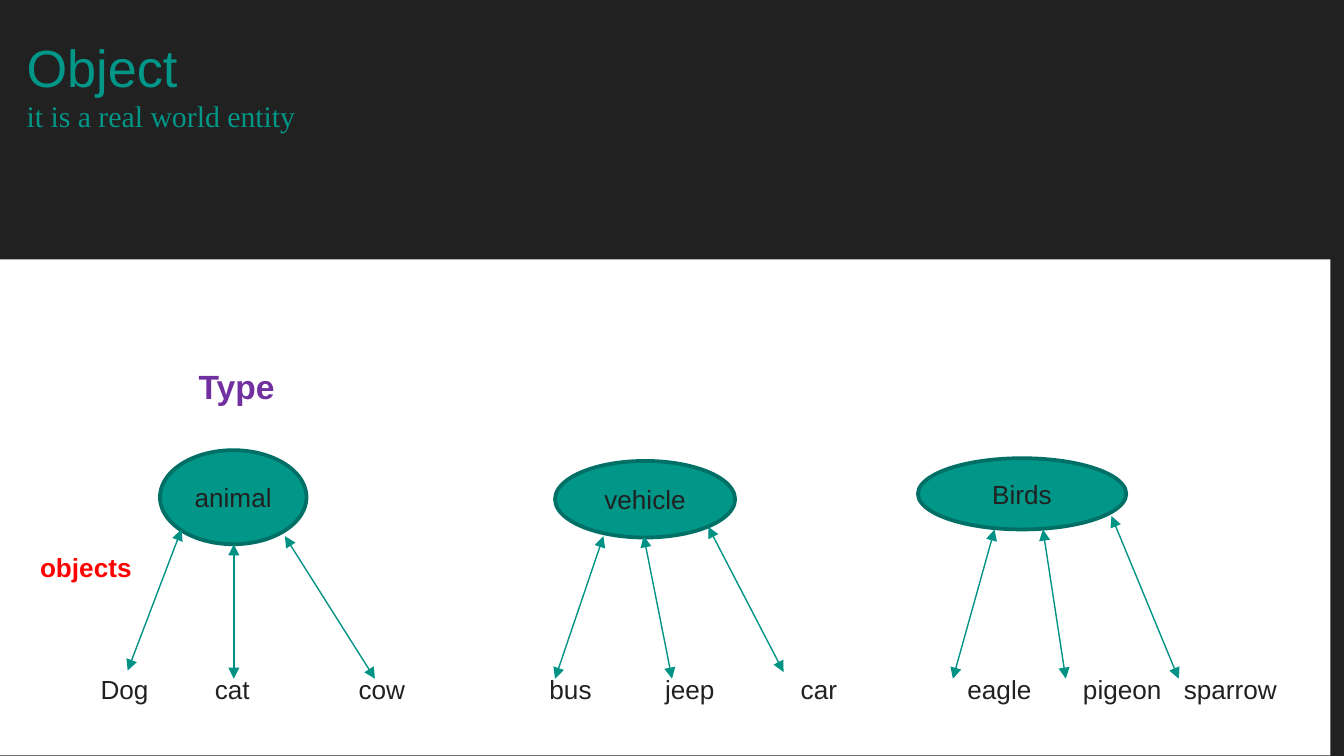
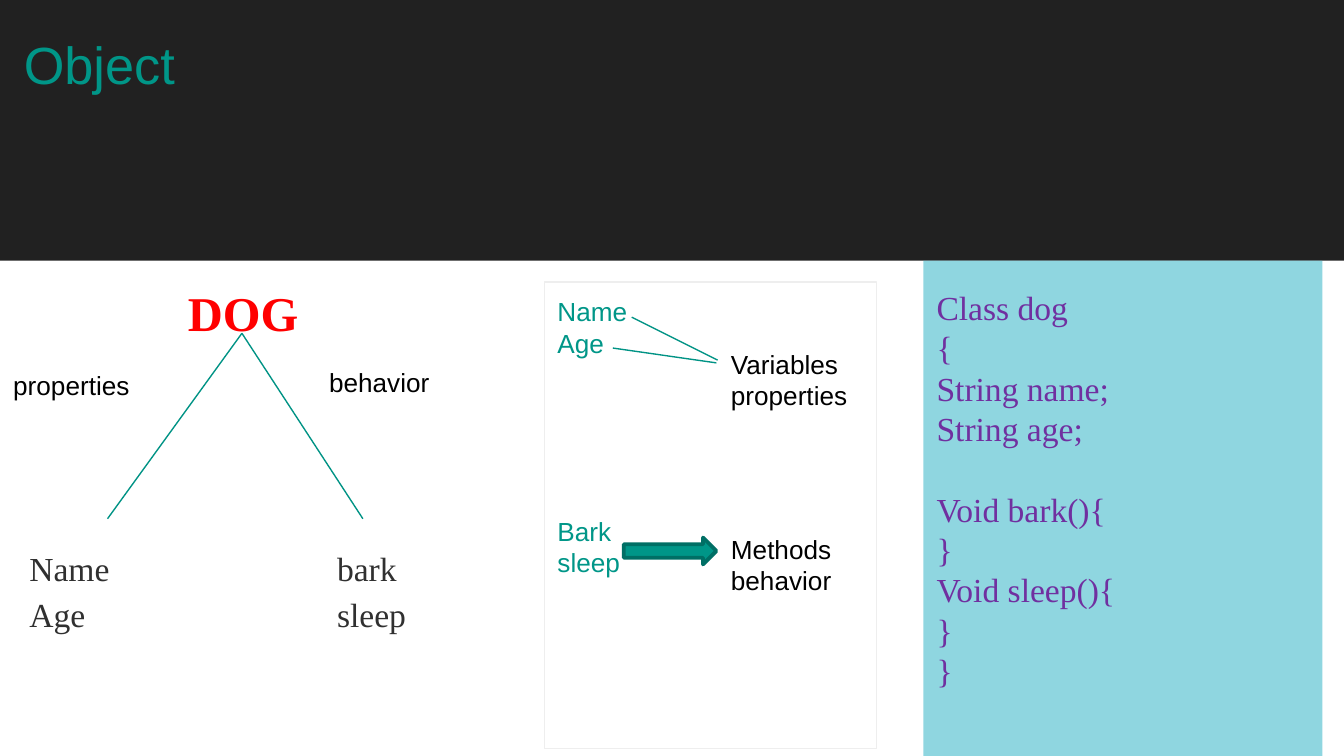
"""Builds two slides that explain objects, their types and a class."""
from dataclasses import dataclass
from typing import Optional

from lxml.etree import SubElement
from pptx import Presentation
from pptx.dml.color import RGBColor as Rgb
from pptx.enum.shapes import MSO_CONNECTOR as Link, MSO_SHAPE as Form
from pptx.enum.text import MSO_ANCHOR as Anchor, PP_ALIGN as Align
from pptx.oxml.ns import qn
from pptx.util import Inches, Pt


@dataclass(frozen=True)
class Theme:
    dark: str = "212121"
    white: str = "FFFFFF"
    teal: str = "009688"
    rim: str = "006F65"
    wire: str = "009385"
    red: str = "FF0000"
    plum: str = "7030A0"
    aqua: str = "21AFC2"
    pale: str = "EEEEEE"
    black: str = "000000"
    gray: str = "303030"
    sans: str = "Arial"
    serif: str = "Times New Roman"
    head: float = 28
    big: float = 26
    mid: float = 18
    sub: float = 16
    small: float = 14
    thin: float = 0.75
    thick: float = 2


LOOK = Theme()


@dataclass(frozen=True)
class Style:
    size: float = LOOK.small
    color: str = LOOK.black
    name: str = LOOK.sans
    bold: bool = False


@dataclass(frozen=True)
class Line:
    text: str
    style: Style = Style()
    gap: float = 0


@dataclass(frozen=True)
class Box:
    left: float
    top: float
    width: float
    height: float

    def sides(self) -> tuple:
        return tuple(map(Inches, (self.left, self.top, self.width, self.height)))


@dataclass(frozen=True)
class Wire:
    start: tuple
    end: tuple


@dataclass(frozen=True)
class Kind:
    name: str
    box: Box
    wires: tuple
    items: tuple


HEAD = Style(LOOK.head, LOOK.teal)
SUB = Style(LOOK.sub, LOOK.teal, LOOK.serif)
DARK = Style(color=LOOK.dark)
TEAL = Style(color=LOOK.teal)
TYPE = Style(LOOK.mid, LOOK.plum, bold=True)
NOTE = Style(color=LOOK.red, bold=True)
DOG = Style(LOOK.big, LOOK.red, LOOK.serif, True)
TRAIT = Style(LOOK.mid, LOOK.gray, LOOK.serif)
CODE = Style(LOOK.mid, LOOK.plum, LOOK.serif)

KINDS = (
    Kind("animal", Box(1.19, 3.35, 1.09, 0.7),
         (Wire((0.95, 4.99), (1.35, 3.94)), Wire((1.74, 5.05), (1.74, 4.05)),
          Wire((2.79, 5.05), (2.12, 3.99))),
         (("Dog", 0.75), ("cat", 1.6), ("cow", 2.67))),
    Kind("vehicle", Box(4.13, 3.43, 1.34, 0.57),
         (Wire((4.13, 5.05), (4.49, 3.99)), Wire((5, 5.05), (4.79, 3.99)),
          Wire((5.83, 5), (5.27, 3.92))),
         (("bus", 4.09), ("jeep", 4.95), ("car", 5.96))),
    Kind("Birds", Box(6.83, 3.41, 1.55, 0.53),
         (Wire((7.4, 3.94), (7.09, 5.05)), Wire((7.76, 3.94), (7.93, 5.05)),
          Wire((8.27, 3.84), (8.77, 5.05))),
         (("eagle", 7.2), ("pigeon", 8.06), ("sparrow", 8.81))),
)


def tint(text: str) -> Rgb:
    """Turn a hex code into a colour."""
    return Rgb.from_string(text)


def write(shape, lines: tuple, align=Align.LEFT, anchor=Anchor.TOP,
          foot: float = 0.05, side: float = 0.1) -> None:
    """Fill a shape with one paragraph per line."""
    frame = shape.text_frame
    form = {"word_wrap": True, "vertical_anchor": anchor,
            "margin_left": Inches(side), "margin_right": Inches(side),
            "margin_top": Inches(0.05), "margin_bottom": Inches(foot)}
    for key, value in form.items():
        setattr(frame, key, value)
    for rank, line in enumerate(lines):
        para = frame.add_paragraph() if rank else frame.paragraphs[0]
        para.alignment = align
        para.space_before = Pt(line.gap)
        run = para.add_run()
        run.text = line.text
        look = line.style
        form = {"size": Pt(look.size), "name": look.name, "bold": look.bold}
        for key, value in form.items():
            setattr(run.font, key, value)
        run.font.color.rgb = tint(look.color)


def label(slide, box: Box, *lines: Line) -> None:
    """Add a plain text box."""
    write(slide.shapes.add_textbox(*box.sides()), lines)


def draw(slide, form: Form, box: Box, fill: Optional[str] = None,
         edge: Optional[str] = None, width: float = LOOK.thick):
    """Add a preset shape with a fill and an edge, either of them optional."""
    shape = slide.shapes.add_shape(form, *box.sides())
    shape.shadow.inherit = False
    if fill:
        shape.fill.solid()
        shape.fill.fore_color.rgb = tint(fill)
    else:
        shape.fill.background()
    if edge:
        shape.line.color.rgb = tint(edge)
        shape.line.width = Pt(width)
    else:
        shape.line.fill.background()
    return shape


def join(slide, wire: Wire, heads: bool = False) -> None:
    """Add a thin straight line, with a head at both ends if asked."""
    ends = map(Inches, wire.start + wire.end)
    link = slide.shapes.add_connector(Link.STRAIGHT, *ends)
    link.line.color.rgb = tint(LOOK.wire)
    link.line.width = Pt(LOOK.thin)
    props = link.element.find(qn("p:spPr"))
    if heads:
        for tag in ("a:headEnd", "a:tailEnd"):
            SubElement(props.find(qn("a:ln")), qn(tag), type="triangle")
    SubElement(props, qn("a:effectLst"))


def start(deck, box: Box, body: Box, *lines: Line):
    """Add a dark slide with a title and a white body."""
    slide = deck.slides.add_slide(deck.slide_layouts[6])
    fill = slide.background.fill
    fill.solid()
    fill.fore_color.rgb = tint(LOOK.dark)
    label(slide, box, Line("Object", HEAD), *lines)
    draw(slide, Form.RECTANGLE, body, LOOK.white)
    return slide


def types(deck) -> None:
    """Build the slide of types and their objects."""
    slide = start(deck, Box(0.1, 0.21, 9.8, 1.38), Box(0, 1.93, 9.9, 3.69),
                  Line("it is a real world entity", SUB))
    label(slide, Box(1.38, 2.67, 1, 0.38), Line("Type", TYPE))
    label(slide, Box(0.2, 4.05, 1, 0.34), Line("objects", NOTE))
    for kind in KINDS:
        oval = draw(slide, Form.OVAL, kind.box, LOOK.teal, LOOK.rim)
        write(oval, (Line(kind.name, DARK),), Align.CENTER, Anchor.MIDDLE,
              side=0.05)
        for wire in kind.wires:
            join(slide, wire, True)
        for text, left in kind.items:
            label(slide, Box(left - 0.1, 4.96, 1, 0.34), Line(text, DARK))


def dog(deck) -> None:
    """Build the slide of a dog, its members and its class."""
    slide = start(deck, Box(0.08, 0.19, 9.73, 1.45), Box(0, 1.94, 10, 3.69))
    label(slide, Box(1.3, 2.06, 1.2, 0.5), Line("DOG", DOG))
    for foot in (0.8, 2.7):
        join(slide, Wire((1.8, 2.48), (foot, 3.86)))
    for left, top, text in ((0, 2.7, "properties"), (2.35, 2.68, "behavior")):
        label(slide, Box(left, top, 1.2, 0.34), Line(text))
    for left, first, last in ((0.12, "Name", "Age"), (2.41, "bark", "sleep")):
        label(slide, Box(left, 4.03, 1.2, 0.72),
              Line(first, TRAIT), Line(last, TRAIT, 3))

    panel = draw(slide, Form.RECTANGLE, Box(6.87, 1.94, 2.97, 3.69), LOOK.aqua)
    shade = next(panel.element.iter(qn("a:srgbClr")))
    SubElement(shade, qn("a:alpha"), val="50000")
    code = ("Class dog", "{", "String name;", "String age;", "Void bark(){",
            "}", "Void sleep(){", "}", "}")
    write(panel, tuple(Line(text, CODE, 21.6 if "bark" in text else 0)
                       for text in code), anchor=Anchor.MIDDLE, foot=0.35)

    card = draw(slide, Form.RECTANGLE, Box(4.05, 2.1, 2.47, 3.47),
                edge=LOOK.pale, width=LOOK.thin)
    write(card, (Line("Name", TEAL), Line("Age", TEAL),
                 Line("Bark", TEAL, 84), Line("sleep", TEAL)),
          anchor=Anchor.MIDDLE, foot=1.22)
    join(slide, Wire((4.7, 2.36), (5.34, 2.68)))
    join(slide, Wire((4.56, 2.59), (5.33, 2.7)))
    label(slide, Box(5.34, 2.54, 1.1, 0.57), Line("Variables"),
          Line("properties"))
    draw(slide, Form.RIGHT_ARROW, Box(4.64, 4, 0.69, 0.2), LOOK.teal, LOOK.rim)
    label(slide, Box(5.34, 3.92, 1.1, 0.57), Line("Methods"), Line("behavior"))


def main() -> None:
    """Build and save the deck."""
    deck = Presentation()
    deck.slide_width = Inches(10)
    deck.slide_height = deck.slide_width * 9 // 16
    types(deck)
    dog(deck)
    deck.save("out.pptx")


main()
